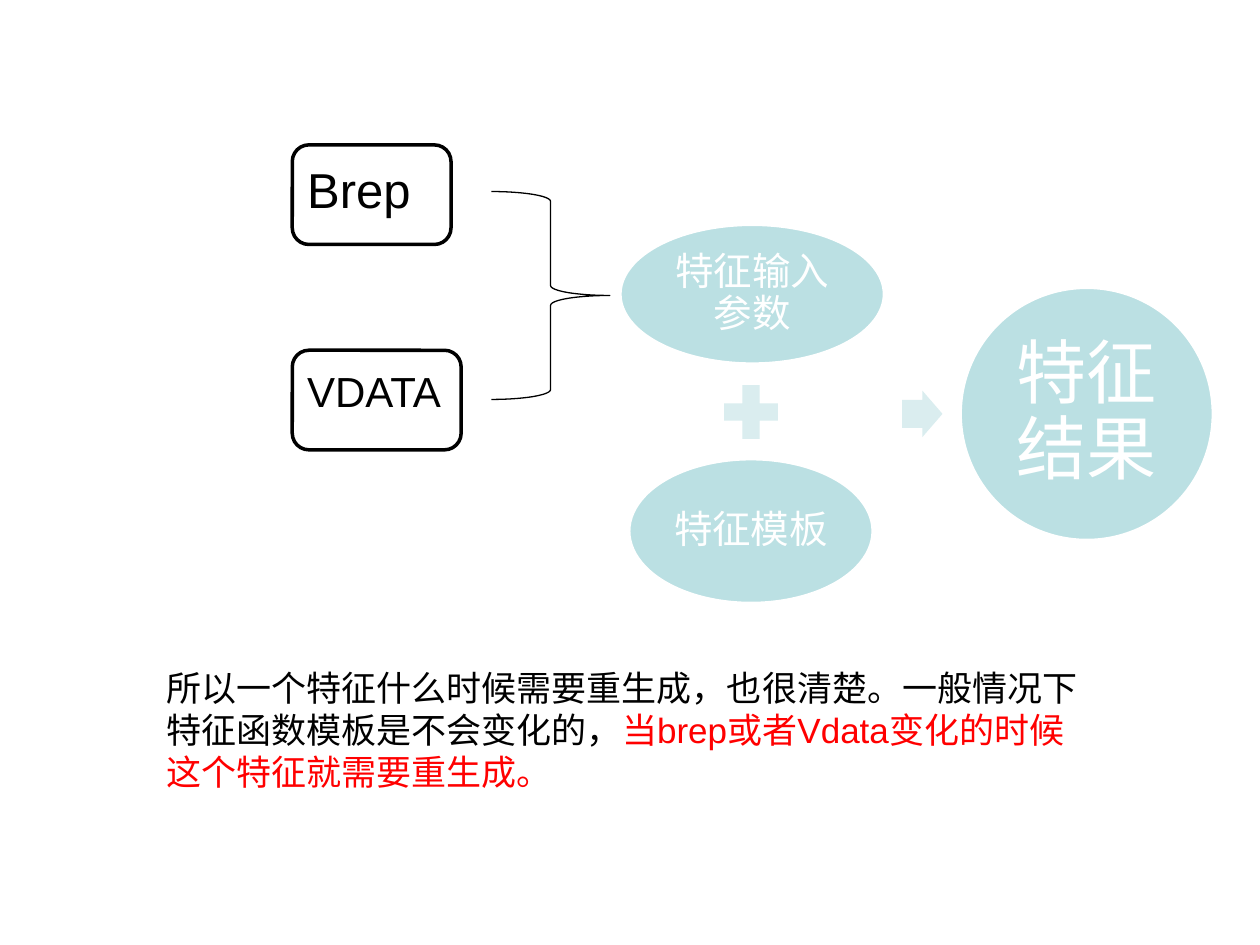
from pptx import Presentation
from pptx.dml.color import RGBColor as Rgb
from pptx.enum.shapes import MSO_SHAPE as Kind
from pptx.enum.text import MSO_ANCHOR as Anchor, MSO_AUTO_SIZE as Fit, PP_ALIGN as Align
from pptx.util import Inches, Pt

COLS, ROWS = 100, 75
WIDE, HIGH = Inches(10), Inches(7.5)


def tint(code):
    return Rgb.from_string(code)


class Board:
    """Holds the style and the current slide."""

    font = "Arial"
    ink, white, red = "000000", "FFFFFF", "FF0000"
    teal, pale = "BBE0E3", "DAEDEF"

    def __init__(self, slide):
        self.slide = slide

    def place(self, col, row, cols, rows):
        """Turn grid cells into lengths."""
        return (round(col * WIDE / COLS), round(row * HIGH / ROWS),
                round(cols * WIDE / COLS), round(rows * HIGH / ROWS))

    def shape(self, kind, spot, fill=None, line=None, width=1, adj=()):
        """Add a flat preset shape."""
        item = self.slide.shapes.add_shape(kind, *self.place(*spot))
        item.shadow.inherit = False
        for i, value in enumerate(adj):
            item.adjustments[i] = value
        for part, code in ((item.fill, fill), (item.line.fill, line)):
            if code:
                part.solid()
                part.fore_color.rgb = tint(code)
            else:
                part.background()
        if line:
            item.line.width = Pt(width)
        return item

    def label(self, item, runs, size, frame, para):
        """Fill a shape with one paragraph of coloured runs."""
        text = item.text_frame
        line = text.paragraphs[0]
        for target, style in ((text, {"word_wrap": True, **frame}), (line, para)):
            for name, value in style.items():
                setattr(target, name, value)
        for words, code in runs:
            run = line.add_run()
            run.text = words
            run.font.name, run.font.size = self.font, Pt(size)
            run.font.color.rgb = tint(code)

    def pad(self, inch):
        """Give all four margins one value."""
        return {f"margin_{side}": Inches(inch)
                for side in ("left", "top", "right", "bottom")}

    def oval(self, words, spot, size, inset):
        """Add a teal ellipse with centred white text."""
        item = self.shape(Kind.OVAL, spot, self.teal, self.white, 2)
        self.label(item, [(words, self.white)], size,
                   {"vertical_anchor": Anchor.MIDDLE, **self.pad(inset)},
                   {"alignment": Align.CENTER, "line_spacing": 0.9})

    def box(self, words, spot, size):
        """Add a rounded box with text at its top left."""
        item = self.shape(Kind.ROUNDED_RECTANGLE, spot, self.white, self.ink, 2)
        self.label(item, [(words, self.ink)], size,
                   {"vertical_anchor": Anchor.TOP, **self.pad(0.08)},
                   {"alignment": Align.LEFT})

    def note(self, runs, spot, size):
        """Add a text box that grows with its text."""
        item = self.slide.shapes.add_textbox(*self.place(*spot))
        self.label(item, runs, size, {"auto_size": Fit.SHAPE_TO_FIT_TEXT}, {})


def main():
    deck = Presentation()
    deck.slide_width, deck.slide_height = WIDE, HIGH
    board = Board(deck.slides.add_slide(deck.slide_layouts[6]))

    board.oval("特征输入参数", (49.2, 17.8, 21, 11.1), 22, 0.03)
    board.shape(Kind.MATH_PLUS, (56.7, 29.8, 5.8, 5.8), board.pale)
    board.oval("特征模板", (49.9, 36.4, 19.4, 11.5), 22, 0.03)
    board.shape(Kind.RIGHT_ARROW, (71.6, 31, 3.2, 3.7), board.pale, adj=(0.6, 0.5))
    board.oval("特征结果", (76.2, 22.8, 20.1, 20.1), 40, 0.06)

    board.shape(Kind.RIGHT_BRACE, (39, 15.2, 9.4, 16.5), line=board.ink, width=0.75)
    board.box("Brep", (23.2, 11.5, 12.6, 7.9), 28)
    board.box("VDATA", (23.2, 27.8, 13.4, 7.9), 24)

    board.note([
        ("所以一个特征什么时候需要重生成，也很清楚。一般情况下特征函数模板是不会变化的，", board.ink),
        ("当brep或者Vdata变化的时候这个特征就需要重生成。", board.red),
    ], (12.2, 52.4, 75.6, 11.1), 20)
    deck.save("out.pptx")


if __name__ == "__main__":
    main()
